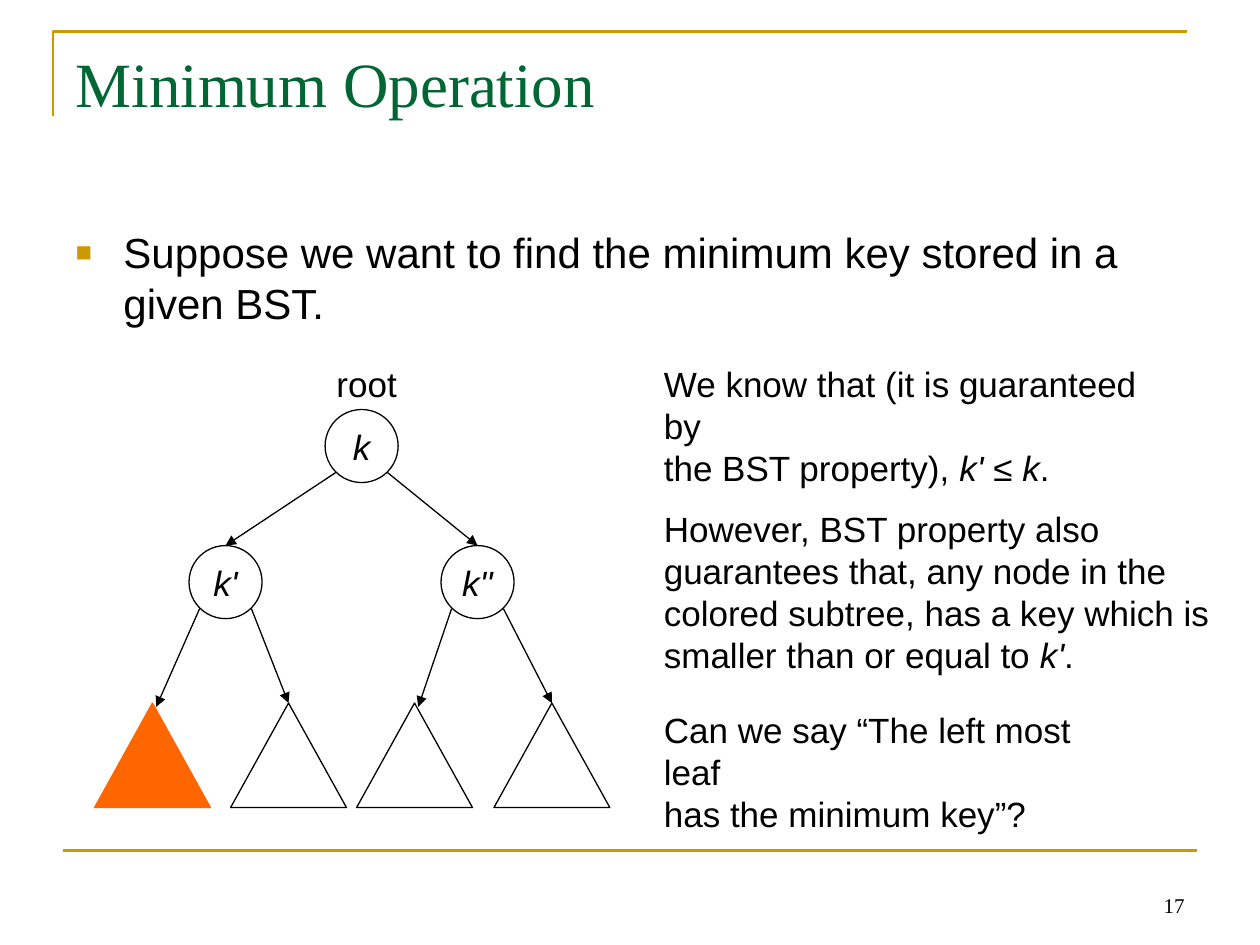
from lxml import etree
from pptx import Presentation
from pptx.dml.color import RGBColor
from pptx.enum.shapes import MSO_CONNECTOR, MSO_SHAPE
from pptx.enum.text import MSO_ANCHOR, MSO_AUTO_SIZE, PP_ALIGN
from pptx.oxml.ns import qn
from pptx.util import Inches, Pt

STRAIGHT = MSO_CONNECTOR.STRAIGHT
CIRCLE, TRIANGLE = MSO_SHAPE.OVAL, MSO_SHAPE.ISOSCELES_TRIANGLE
TOP, MIDDLE, BOTTOM = MSO_ANCHOR.TOP, MSO_ANCHOR.MIDDLE, MSO_ANCHOR.BOTTOM
LEFT, CENTER, RIGHT = PP_ALIGN.LEFT, PP_ALIGN.CENTER, PP_ALIGN.RIGHT

COLORS = {"ink": "000000", "title": "006633", "gold": "CC9900", "subtree": "FF6600"}
SANS, SERIF = "Arial", "Times New Roman"
WIDTH, HEIGHT = 10, 7.5
MARGIN = 0.05 * WIDTH
CONTENT = WIDTH - 2 * MARGIN
NODE = 0.58                                  # circle diameter
LEAF_WIDTH, LEAF_HEIGHT = 0.92, 0.83         # subtree triangle
LEVELS = (0.42, 1.5, 2.75)                   # tops of the tree rows


def color(name):
    return RGBColor.from_string(COLORS[name])


def inches(*lengths):
    return [Inches(length) for length in lengths]


def add_runs(paragraph, runs, size, font=SANS, ink="ink", align=LEFT):
    """Add (text, italic) runs to a paragraph."""
    paragraph.alignment = align
    for text, italic in runs:
        run = paragraph.add_run()
        run.text = text
        run.font.size, run.font.name, run.font.italic = Pt(size), font, italic
        run.font.color.rgb = color(ink)


def add_text(slide, box, lines, size=20, font=SANS, align=LEFT, anchor=TOP, wrap=True):
    frame = slide.shapes.add_textbox(*inches(*box)).text_frame
    frame.word_wrap, frame.vertical_anchor = wrap, anchor
    for index, runs in enumerate(lines):
        paragraph = frame.paragraphs[0] if index == 0 else frame.add_paragraph()
        add_runs(paragraph, runs, size, font, align=align)


def add_line(slide, start, end, ink="ink", width=0.75, arrow=False):
    line = slide.shapes.add_connector(STRAIGHT, *inches(*start, *end))
    line.line.color.rgb, line.line.width = color(ink), Pt(width)
    if arrow:
        etree.SubElement(line.line._get_or_add_ln(), qn("a:tailEnd"), type="triangle")
    etree.SubElement(line._element.spPr, qn("a:effectLst"))
    return line


def add_outline(slide, kind, box, fill=None):
    shape = slide.shapes.add_shape(kind, *inches(*box))
    shape.shadow.inherit = False
    shape.line.color.rgb, shape.line.width = color(fill or "ink"), Pt(0.75)
    if fill:
        shape.fill.solid()
        shape.fill.fore_color.rgb = color(fill)
    else:
        shape.fill.background()
    return shape


def add_frame(slide, left, top, width, height):
    """Gold corner rule above the title, rule and page number below."""
    builder = slide.shapes.build_freeform(*inches(left, top + 0.67), scale=1.0)
    corner = [(left, top), (left + width, top)]
    builder.add_line_segments([inches(*point) for point in corner], close=False)
    rule = builder.convert_to_shape()
    rule.shadow.inherit = False
    rule.fill.background()
    rule.line.color.rgb, rule.line.width = color("gold"), Pt(1.5)

    bottom = top + height
    add_line(slide, (MARGIN, bottom), (MARGIN + width, bottom), "gold", 1.5)
    add_text(slide, (MARGIN + width - 2.33, bottom + 0.08, 2.33, 0.5),
             [[("17", False)]], 12, SERIF, RIGHT, BOTTOM)


def fill_placeholder(shape, box, text, size, font, ink):
    shape.left, shape.top, shape.width, shape.height = inches(*box)
    frame = shape.text_frame
    frame.vertical_anchor, frame.auto_size = TOP, MSO_AUTO_SIZE.NONE
    add_runs(frame.paragraphs[0], [(text, False)], size, font, ink)
    return frame.paragraphs[0]


def add_bullet(paragraph):
    paragraph.space_before = Pt(0)
    properties = paragraph._p.get_or_add_pPr()
    properties.set("marL", str(Inches(0.38)))
    properties.set("indent", str(Inches(-0.38)))
    bullet_color = etree.SubElement(properties, qn("a:buClr"))
    etree.SubElement(bullet_color, qn("a:srgbClr"), val=COLORS["gold"])
    etree.SubElement(properties, qn("a:buSzPct"), val="65000")
    etree.SubElement(properties, qn("a:buFont"), typeface=SANS)
    etree.SubElement(properties, qn("a:buChar"), char="■")


def add_node(slide, center, top, key):
    node = add_outline(slide, CIRCLE, (center - NODE / 2, top, NODE, NODE))
    frame = node.text_frame
    frame.word_wrap, frame.vertical_anchor = False, MIDDLE
    frame.margin_left = frame.margin_right = frame.margin_top = frame.margin_bottom = 0
    add_runs(frame.paragraphs[0], [(key, True)], 20, align=CENTER)
    return node


def add_branch(slide, center, top, side, end):
    """Arrow from the lower left (-1) or right (1) of a node."""
    return add_line(slide, (center + side * 0.205, top + 0.5), end, arrow=True)


def add_tree(slide, left, top):
    """Root, two children and four subtrees, the leftmost one coloured."""
    root_top, child_top, leaf_top = (top + level for level in LEVELS)
    root = left + 2.12
    add_text(slide, (root - 0.3, top, 0.68, 0.43), [[("root", False)]],
             align=CENTER, wrap=False)
    add_node(slide, root, root_top, "k")
    children = [
        (-1, left + 1.04, "k'", (left + 0.46, left + 1.54)),
        (1, left + 3.04, "k''", (left + 2.54, left + 3.63)),
    ]
    for side, center, key, leaves in children:
        child = add_node(slide, center, child_top, key)
        branch = add_branch(slide, root, root_top, side, (center, child_top))
        branch.end_connect(child, 0)
        for leaf_side, apex in zip((-1, 1), leaves):
            colored = side == leaf_side == -1
            add_outline(slide, TRIANGLE,
                        (apex - LEAF_WIDTH / 2, leaf_top, LEAF_WIDTH, LEAF_HEIGHT),
                        "subtree" if colored else None)
            inset = 0.03 if leaf_side == -1 else 0
            add_branch(slide, center, child_top, leaf_side,
                       (apex + inset, leaf_top + inset))


def add_remarks(slide, left, top):
    """Three remarks beside the tree: offset, width, height, lines."""
    remarks = [
        (0, 4.28, 1.11, [
            [("We know that (it is guaranteed by", False)],
            [("the BST property), ", False), ("k' ", True), ("≤ ", False),
             ("k", True), (".", False)]]),
        (1.15, 4.6, 1.45, [
            [("However, BST property also", False)],
            [("guarantees that, any node in the", False)],
            [("colored subtree, has a key which is", False)],
            [("smaller than or equal to ", False), ("k'", True), (".", False)]]),
        (2.74, 3.85, 1.11, [
            [("Can we say “The left most leaf", False)],
            [("has the minimum key”?", False)]]),
    ]
    for offset, width, height, lines in remarks:
        add_text(slide, (left, top + offset, width, height), lines)


def main():
    presentation = Presentation()
    presentation.slide_width, presentation.slide_height = inches(WIDTH, HEIGHT)
    slide = presentation.slides.add_slide(presentation.slide_layouts[1])

    add_frame(slide, 0.42, 0.25, CONTENT, 6.5)
    fill_placeholder(slide.shapes.title, (MARGIN, 0.3, CONTENT, 1.25),
                     "Minimum Operation", 36, SERIF, "title")
    body = fill_placeholder(
        slide.placeholders[1], (MARGIN, 1.75, CONTENT, 4.95),
        "Suppose we want to find the minimum key stored in a given BST.",
        24, SANS, "ink")
    add_bullet(body)
    add_tree(slide, 0.75, 2.83)
    add_remarks(slide, 5.17, 2.83)
    presentation.save("out.pptx")


if __name__ == "__main__":
    main()
